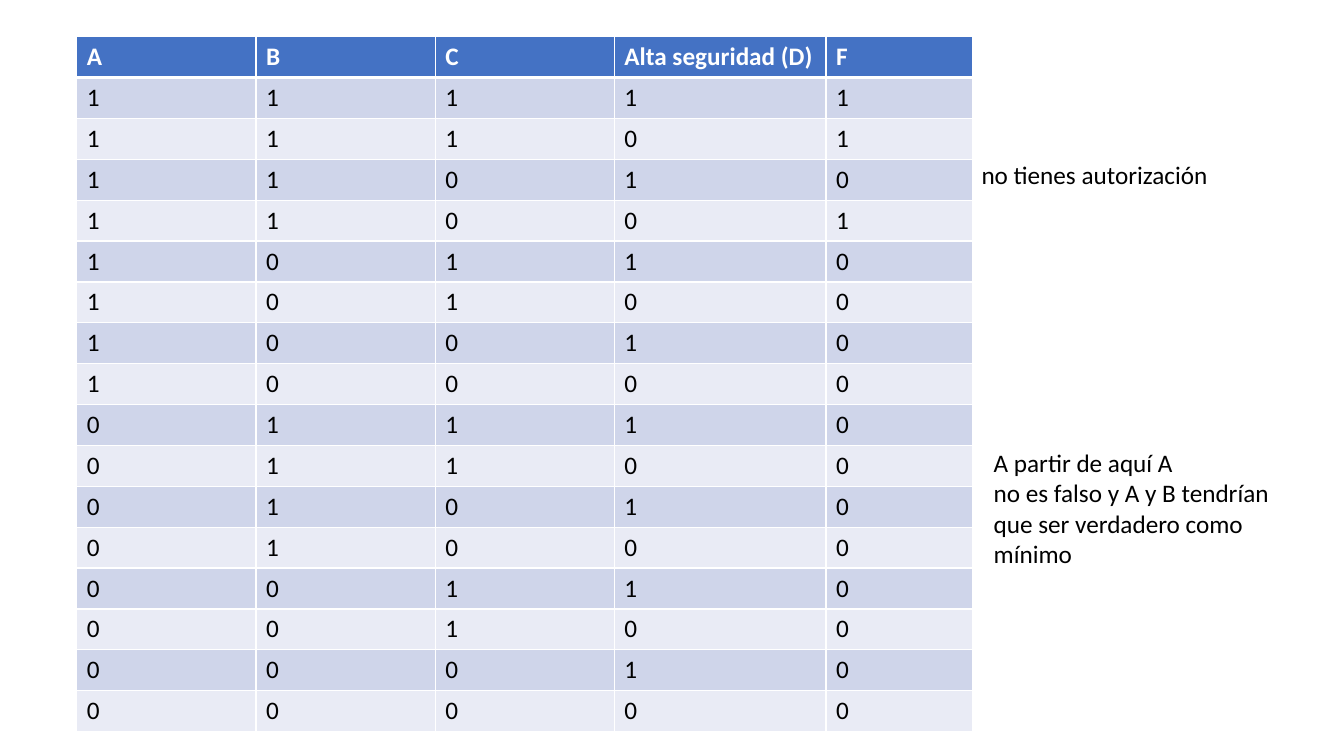
from itertools import product

from lxml import etree
from pptx import Presentation
from pptx.dml.color import RGBColor
from pptx.enum.text import MSO_AUTO_SIZE
from pptx.oxml.ns import qn
from pptx.util import Pt

GROW = MSO_AUTO_SIZE.SHAPE_TO_FIT_TEXT
COLORS = {"head": "4472C4", "odd": "CFD5EA", "even": "E9EBF5",
          "white": "FFFFFF", "black": "000000"}

HEADS = ("A", "B", "C", "Alta seguridad (D)", "F")
TRUE_ROWS = {(1, 1, 1, 1), (1, 1, 1, 0), (1, 1, 0, 0)}
NOTES = (
    (("no tienes autorización",), (694, 110.2, 178, 29)),
    (("A partir de aquí A", "no es falso y A y B tendrían",
      "que ser verdadero como", "mínimo"), (702.7, 316.1, 217.4, 94.5)),
)
LEFT, TOP, ROW_H = 54.9, 26.2, 29.18
WIDTHS = (128, 128, 128, 151.2, 105)


def write(frame, lines, color="black", bold=False):
    for i, line in enumerate(lines):
        para = frame.paragraphs[0] if i == 0 else frame.add_paragraph()
        run = para.add_run()
        run.text = line
        font = run.font
        font.name, font.size, font.bold = "Calibri", Pt(18), bold
        font.color.rgb = RGBColor.from_string(COLORS[color])


def edge(cell, sides):
    props = cell._tc.get_or_add_tcPr()
    for i, (side, width) in enumerate(sides.items()):
        line = etree.Element(qn("a:ln" + side), w=str(Pt(width)))
        fill = etree.SubElement(line, qn("a:solidFill"))
        etree.SubElement(fill, qn("a:srgbClr"), val=COLORS["white"])
        props.insert(i, line)


def add_grid(slide):
    rows = [HEADS]
    for bits in product((1, 0), repeat=4):
        rows.append(bits + (int(bits in TRUE_ROWS),))
    table = slide.shapes.add_table(
        len(rows), len(HEADS), Pt(LEFT), Pt(TOP),
        Pt(sum(WIDTHS)), Pt(ROW_H * len(rows))).table
    for col, width in zip(table.columns, WIDTHS):
        col.width = Pt(width)
    for r, row in enumerate(rows):
        table.rows[r].height = Pt(ROW_H)
        head = r == 0
        shade = "head" if head else "odd" if r % 2 else "even"
        for c, value in enumerate(row):
            cell = table.cell(r, c)
            cell.fill.solid()
            cell.fill.fore_color.rgb = RGBColor.from_string(COLORS[shade])
            edge(cell, {"L": 1, "R": 1, "T": 3 if r == 1 else 1,
                        "B": 3 if head else 1})
            write(cell.text_frame, [str(value)],
                  color="white" if head else "black", bold=head)


def main():
    deck = Presentation()
    deck.slide_width, deck.slide_height = Pt(960), Pt(540)
    slide = deck.slides.add_slide(deck.slide_layouts[6])
    add_grid(slide)
    for lines, place in NOTES:
        frame = slide.shapes.add_textbox(*map(Pt, place)).text_frame
        frame.word_wrap = False
        frame.auto_size = GROW
        write(frame, lines)
    deck.save("out.pptx")


if __name__ == "__main__":
    main()
